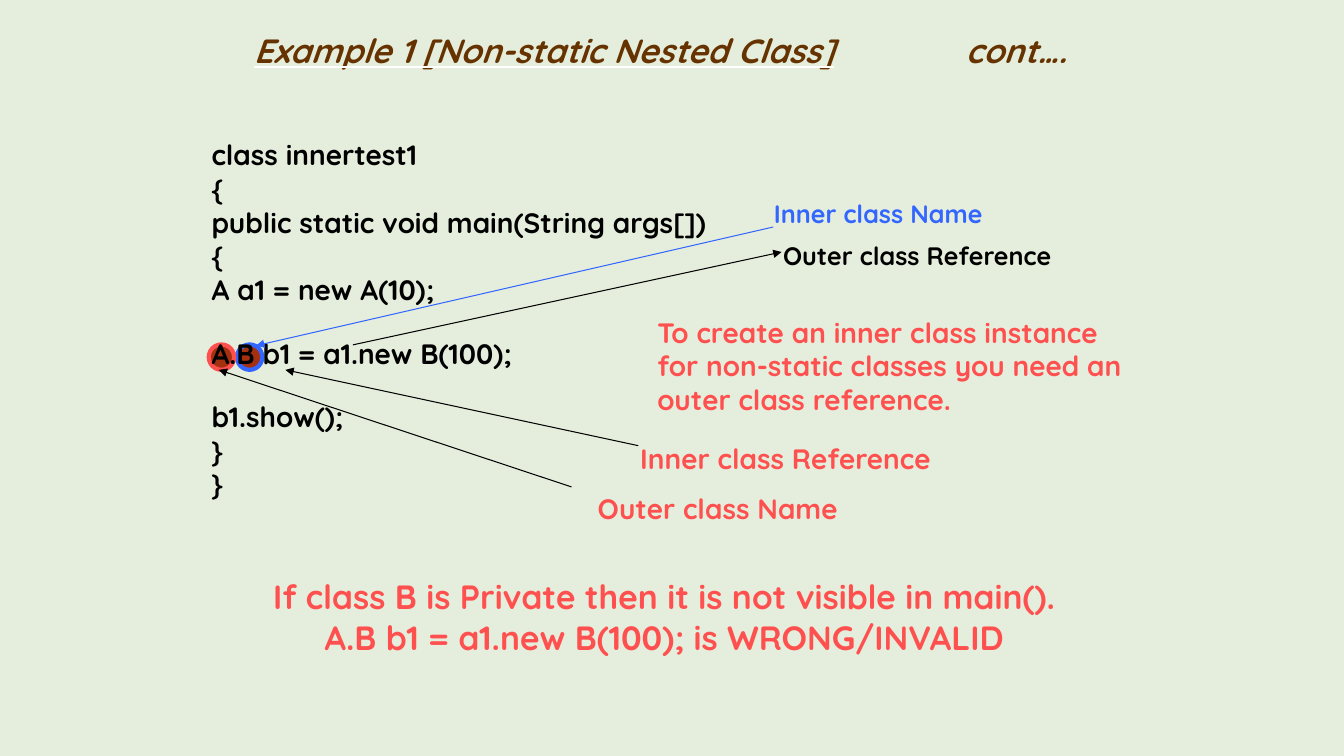
from lxml import etree
from pptx import Presentation
from pptx import util as u
from pptx.dml.color import RGBColor
from pptx.enum import shapes, text
from pptx.oxml.ns import qn

BACKDROP = RGBColor(0xE5, 0xEE, 0xDC)
BLACK = RGBColor(0, 0, 0)
BLUE = RGBColor(0x33, 0x66, 0xFF)
CORAL = RGBColor(0xFF, 0x50, 0x50)
RUST = RGBColor(0xA5, 0x30, 0x10)
BROWN = RGBColor(0x66, 0x33, 0x00)
FONT = "Quicksand"
LEFT, CENTER = text.PP_ALIGN.LEFT, text.PP_ALIGN.CENTER

CODE_BOX = (5.08, 3.35, 19.69, 9.58)
CODE_LINES = [
    ("class innertest1", 0),
    ("{", 0),
    ("public static void main(String args[])", 0),
    ("{", 0),
    ("A a1 = new A(10);", 0),
    ("A.B b1 = a1.new B(100);", 21.5),
    ("b1.show();", 21.5),
    ("}", 0),
    ("}", 0),
]


def add_run(p, content, size=20, color=BLACK, italic=False, underline=False):
    r = p.add_run()
    r.text = content
    f = r.font
    f.size, f.bold, f.italic, f.underline = u.Pt(size), True, italic, underline
    f.color.rgb = color
    f.name = FONT
    return r


def add_text(s, box, lines, align=LEFT, **fmt):
    tf = s.shapes.add_textbox(*map(u.Cm, box)).text_frame
    tf.word_wrap = True
    for i, (content, gap) in enumerate(lines):
        p = tf.paragraphs[0] if i == 0 else tf.add_paragraph()
        p.alignment = align
        if gap:
            p.space_before = u.Pt(gap)
        if content:
            add_run(p, content, **fmt)
    return tf


def add_arrow(s, start, end, color):
    c = s.shapes.add_connector(
        shapes.MSO_CONNECTOR.STRAIGHT, *map(u.Cm, (*start, *end)))
    c.line.color.rgb = color
    c.line.width = u.Pt(0.75)
    etree.SubElement(c.line._get_or_add_ln(), qn("a:tailEnd"), type="triangle")
    etree.SubElement(c._element.spPr, qn("a:effectLst"))


def add_title(s, box):
    p = add_text(s, box, [("", 0)]).paragraphs[0]
    tabs = etree.SubElement(p._p.get_or_add_pPr(), qn("a:tabLst"))
    etree.SubElement(tabs, qn("a:tab"), pos=str(u.Cm(17.93)), algn="l")
    r = add_run(p, "Example 1 [Non-static Nested Class]", 24, BROWN, True, True)
    fill = etree.Element(qn("a:uFill"))
    solid = etree.SubElement(fill, qn("a:solidFill"))
    etree.SubElement(solid, qn("a:srgbClr"), val="FFFFFF")
    r.font._element.find(qn("a:latin")).addprevious(fill)
    add_run(p, "\tcont….", 24, BROWN, True)


def add_code(s, box):
    x, y = box[:2]
    for dx, color in ((0.89, BLUE), (0.18, CORAL)):
        sp = s.shapes.add_shape(
            shapes.MSO_SHAPE.OVAL, u.Cm(x + dx), u.Cm(y + 5.33), u.Cm(0.64), u.Cm(0.64))
        sp.shadow.inherit = False
        sp.fill.solid()
        sp.fill.fore_color.rgb = RUST
        sp.line.color.rgb = color
        sp.line.width = u.Pt(3)
    add_text(s, box, CODE_LINES)


def add_callout(s, box, label, label_end, code_end, line_color=BLACK, outward=False, **fmt):
    near = (box[0] + label_end[0], box[1] + label_end[1])
    far = (CODE_BOX[0] + code_end[0], CODE_BOX[1] + code_end[1])
    start, end = (far, near) if outward else (near, far)
    add_arrow(s, start, end, line_color)
    add_text(s, box, [(label, 0)], **fmt)


def add_callouts(s):
    add_callout(s, (14.81, 12.27, 12.7, 1.09), "Outer class Name",
                (-0.41, 0), (0.43, 5.97), color=CORAL)
    add_callout(s, (19.25, 4.88, 9.32, 1.02), "Inner class Name",
                (0.23, 0.84), (1.37, 5.36), BLUE, size=18, color=BLUE)
    add_callout(s, (15.88, 11, 12.7, 1.09), "Inner class Reference",
                (0.2, 0.23), (2.11, 5.97), color=CORAL)
    add_callout(s, (19.48, 5.92, 9.96, 1.02), "Outer class Reference",
                (0.21, 0.43), (3.81, 5.34), outward=True, size=18)


def main():
    prs = Presentation()
    prs.slide_width, prs.slide_height = u.Cm(33.86), u.Cm(19.05)
    s = prs.slides.add_slide(prs.slide_layouts[6])
    s.background.fill.solid()
    s.background.fill.fore_color.rgb = BACKDROP

    add_code(s, CODE_BOX)
    add_text(s, (16.31, 7.82, 12.7, 3.63), [
        ("To create an inner class instance for non-static classes "
         "you need an outer class reference.", 0)], color=CORAL)
    add_callouts(s)
    add_text(s, (4.88, 14.4, 23.7, 3.71), [
        ("If class B is Private then it is not visible in main().", 0),
        ("A.B b1 = a1.new B(100); is WRONG/INVALID", 0),
    ], CENTER, size=24, color=CORAL)
    add_title(s, (6.15, 0.64, 22.86, 2.29))
    prs.save("out.pptx")


if __name__ == "__main__":
    main()
